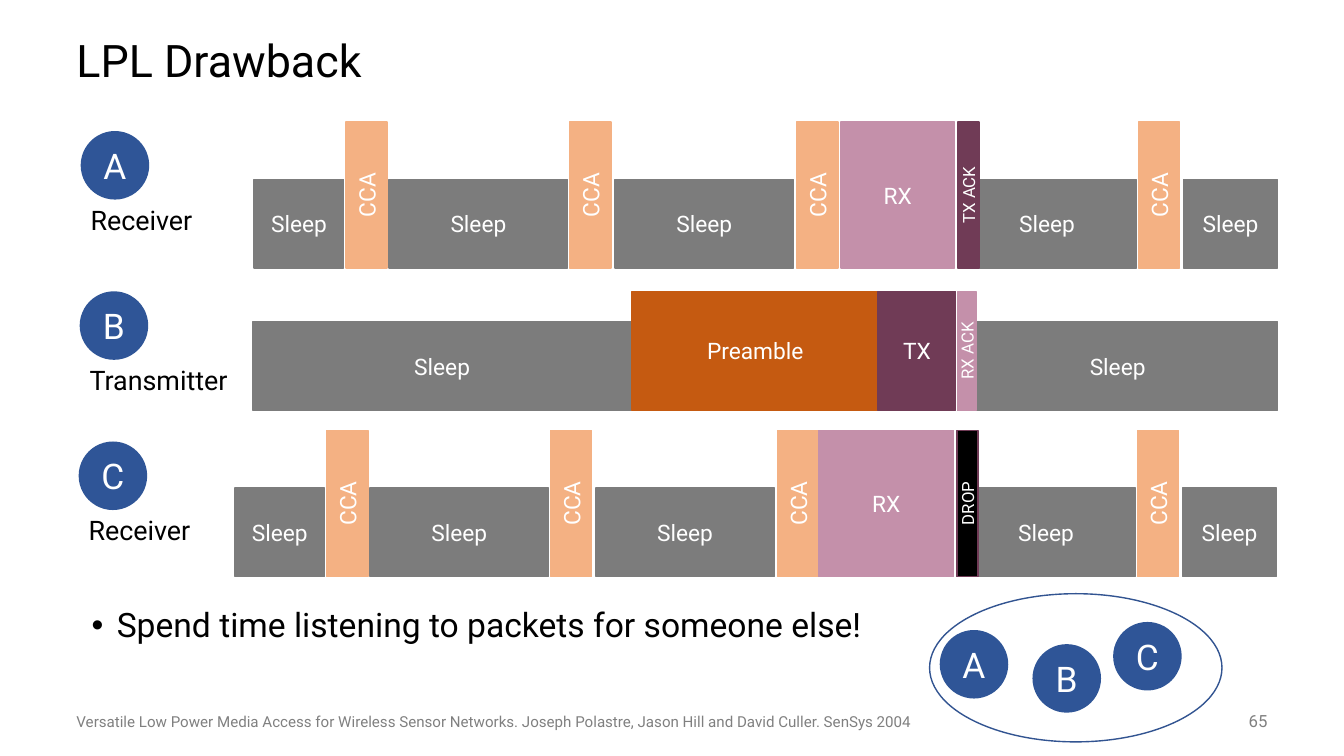
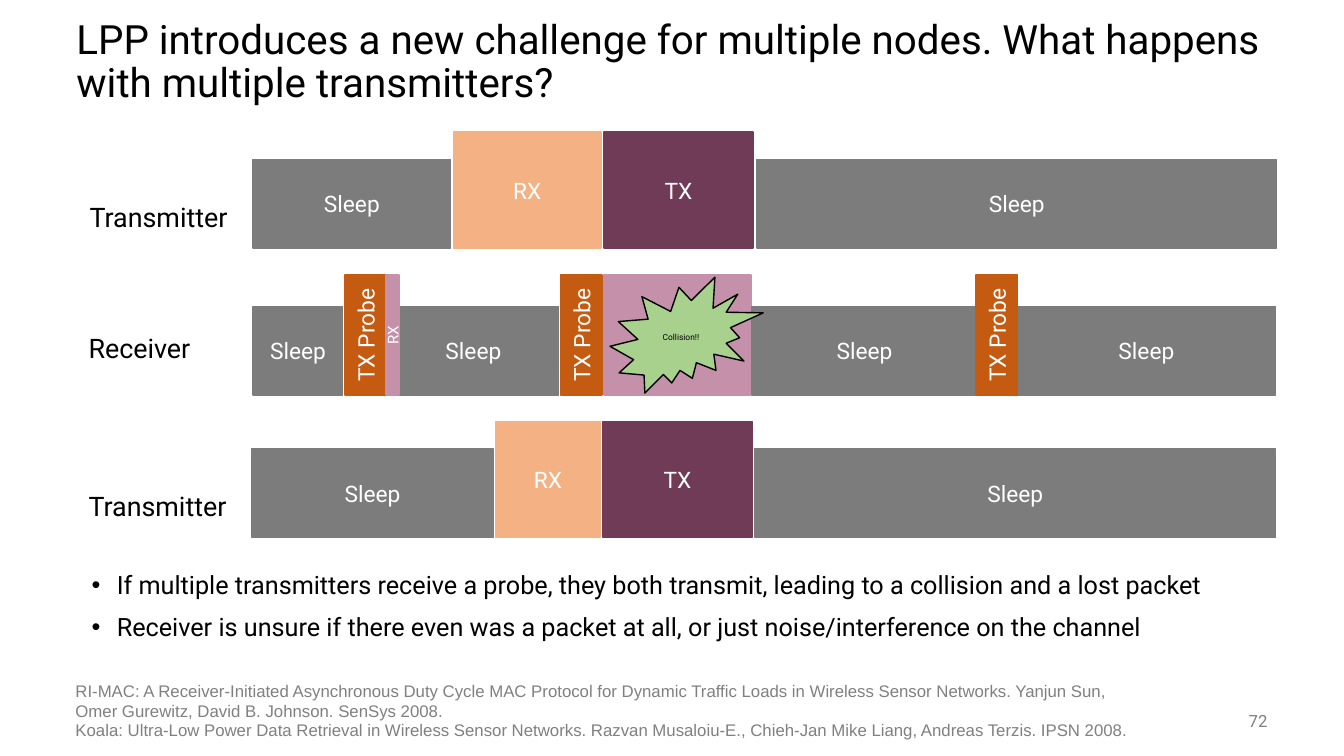
from lxml import etree
from pptx import Presentation
from pptx.dml.color import RGBColor
from pptx.enum.shapes import MSO_SHAPE
from pptx.enum.text import MSO_ANCHOR, PP_ALIGN
from pptx.oxml.ns import qn
from pptx.util import Inches, Pt

RECT, OVAL, BURST = MSO_SHAPE.RECTANGLE, MSO_SHAPE.OVAL, MSO_SHAPE.EXPLOSION2
TOP, MIDDLE = MSO_ANCHOR.TOP, MSO_ANCHOR.MIDDLE
LEFT, CENTER, RIGHT = PP_ALIGN.LEFT, PP_ALIGN.CENTER, PP_ALIGN.RIGHT

BLACK = RGBColor(0x00, 0x00, 0x00)
WHITE = RGBColor(0xFF, 0xFF, 0xFF)
GRAY = RGBColor(0x7C, 0x7C, 0x7C)
MUTED = RGBColor(0x80, 0x80, 0x80)
PEACH = RGBColor(0xF4, 0xB1, 0x83)
PINK = RGBColor(0xC4, 0x90, 0xAA)
PLUM = RGBColor(0x70, 0x3B, 0x56)
RUST = RGBColor(0xC5, 0x5A, 0x11)
BLUE = RGBColor(0x2F, 0x55, 0x97)
NAVY = RGBColor(0x32, 0x54, 0x91)
GREEN = RGBColor(0xA9, 0xD1, 0x8E)

FONT = "Roboto"
LOW = 0.88
SLIM = 0.41
DISC = 0.68

STYLES = {
    "sleep": ("Sleep", GRAY, GRAY, 16.2, False),
    "cca": ("CCA", PEACH, PEACH, 16.2, True),
    "rx": ("RX", PINK, PINK, 16.2, False),
    "tx": ("TX", PLUM, PLUM, 16.2, False),
    "preamble": ("Preamble", RUST, RUST, 16.2, False),
    "tx ack": ("TX ACK", PLUM, PLUM, 12, True),
    "rx ack": ("RX ACK", PINK, PINK, 12, True),
    "drop": ("DROP", BLACK, PLUM, 12, True),
    "probe": ("TX Probe", RUST, RUST, 16.2, True),
    "listen": ("RX", PEACH, PEACH, 16.2, False),
    "brief": ("RX", PINK, PINK, 10.8, True),
    "clash": ("", PINK, PINK, 16.2, False),
}

POLLS = [
    ("sleep", 0, 0.89), ("cca", 0.91, SLIM),
    ("sleep", 1.34, 1.77), ("cca", 3.13, SLIM),
    ("sleep", 3.58, 1.77), ("cca", 5.38, SLIM),
]


def style(para, size, color, align=LEFT, font=FONT):
    """Format one paragraph and its runs."""
    para.alignment = align
    for run in para.runs:
        run.font.name = font
        run.font.size = Pt(size)
        run.font.color.rgb = color


def write(slide, box, text, size, color=BLACK, anchor=MIDDLE, align=LEFT, font=FONT):
    """Add a wrapped text box and return its frame."""
    frame = slide.shapes.add_textbox(*map(Inches, box)).text_frame
    frame.word_wrap = True
    frame.vertical_anchor = anchor
    frame.text = text
    for para in frame.paragraphs:
        style(para, size, color, align, font)
    return frame


def draw(slide, kind, box, fill, line, text="", size=12, color=WHITE):
    """Add a preset shape with centred text."""
    shape = slide.shapes.add_shape(kind, *map(Inches, box))
    shape.shadow.inherit = False
    if fill is None:
        shape.fill.background()
    else:
        shape.fill.solid()
        shape.fill.fore_color.rgb = fill
    if line is None:
        shape.line.fill.background()
    else:
        shape.line.color.rgb = line
        shape.line.width = Pt(1)
    frame = shape.text_frame
    frame.margin_left = frame.margin_right = 0
    frame.margin_top = frame.margin_bottom = 0
    frame.vertical_anchor = MIDDLE
    if text:
        frame.text = text
        style(frame.paragraphs[0], size, color, CENTER)
    return shape


def start(deck, title, size, number):
    """Add a slide with its title and page number."""
    slide = deck.slides.add_slide(deck.slide_layouts[6])
    frame = write(slide, (0.66, 0.25, 12, 0.75), title, size)
    frame.paragraphs[0].line_spacing = 0.9
    write(slide, (11.67, 6.95, 1, 0.4), number, 12, MUTED, align=RIGHT)
    return slide


def list_points(slide, box, points, size):
    """Add a bulleted list."""
    frame = write(slide, box, "\n".join(points), size, anchor=TOP)
    for rank, para in enumerate(frame.paragraphs):
        props = para._p.get_or_add_pPr()
        props.set("marL", str(Inches(0.25)))
        props.set("indent", str(-Inches(0.25)))
        etree.SubElement(props, qn("a:buFont")).set("typeface", "Arial")
        etree.SubElement(props, qn("a:buChar")).set("char", "•")
        para.line_spacing = 0.9
        if rank:
            para.space_before = Pt(11)


def lane(slide, left, base, tall, slots):
    """Draw one radio timeline standing on its base line."""
    for name, begin, width in slots:
        text, fill, line, size, turned = STYLES[name]
        high = LOW if name == "sleep" else tall
        box = (left + begin, base - high, width, high)
        block = draw(slide, RECT, box, fill, line, text, size)
        if turned:
            block.element.txBody.bodyPr.set("vert", "vert270")


def finish(begin, last):
    """Return the slots that follow a received packet."""
    return [
        ("sleep", begin, 1.77), ("cca", begin + 1.79, SLIM),
        ("sleep", begin + 2.24, 0.93), (last, begin, 0.21),
    ]


def disc(slide, left, top, letter):
    """Draw one lettered node."""
    draw(slide, OVAL, (left, top, DISC, DISC), BLUE, None, letter, 25.2)


def role(slide, left, top, text):
    """Label a timeline with its role."""
    write(slide, (left, top, 1.73, 0.42), text, 19.2)


def node(slide, left, top, letter, text):
    """Draw a node with its role beneath."""
    disc(slide, left, top, letter)
    role(slide, left, top + 0.67, text)


def group(slide, left, top):
    """Draw the three nodes inside one radio range."""
    for letter, across, down in (("A", 0.1, 0.36), ("B", 1.02, 0.5), ("C", 1.82, 0.28)):
        disc(slide, left + across, top + down, letter)
    draw(slide, OVAL, (left, top, 2.9, 1.47), None, NAVY)


def lpl_slide(deck):
    """Build the slide on the LPL drawback."""
    slide = start(deck, "LPL Drawback", 32, "65")
    lane(slide, 2.52, 2.66, 1.45, POLLS + [("rx", 5.82, 1.13)] + finish(6.98, "tx ack"))
    lane(slide, 2.51, 4.07, 1.18, [
        ("sleep", 0, 3.75), ("preamble", 3.76, 2.44), ("tx", 6.2, 0.77),
        ("sleep", 6.99, 3.17), ("rx ack", 6.99, 0.18),
    ])
    lane(slide, 2.33, 5.72, 1.45, POLLS + [("rx", 5.79, 1.34)] + finish(7.16, "drop"))
    node(slide, 0.8, 1.3, "A", "Receiver")
    node(slide, 0.79, 2.89, "B", "Transmitter")
    node(slide, 0.78, 4.38, "C", "Receiver")
    list_points(slide, (0.81, 5.99, 8.02, 1.4),
                ["Spend time listening to packets for someone else!"], 24)
    group(slide, 9.22, 5.89)
    write(slide, (0.66, 7.02, 8.99, 0.28),
          "Versatile Low Power Media Access for Wireless Sensor Networks. "
          "Joseph Polastre, Jason Hill and David Culler. SenSys 2004",
          10.8, MUTED, TOP)


def lpp_slide(deck):
    """Build the slide on colliding transmitters."""
    slide = start(deck, "LPP introduces a new challenge for multiple nodes. "
                  "What happens with multiple transmitters?", 28.8, "72")
    lane(slide, 2.51, 2.46, 1.15, [
        ("sleep", 0, 1.96), ("listen", 1.99, 1.46),
        ("tx", 3.48, 1.48), ("sleep", 5, 5.15),
    ])
    lane(slide, 2.51, 3.92, 1.19, [
        ("sleep", 0, 0.89), ("probe", 0.91, SLIM),
        ("sleep", 1.34, 1.69), ("brief", 1.32, 0.13),
        ("clash", 3.48, 1.46), ("probe", 3.05, SLIM),
        ("sleep", 4.95, 2.23), ("sleep", 7.58, 2.56), ("probe", 7.17, SLIM),
    ])
    lane(slide, 2.5, 5.33, 1.15, [
        ("sleep", 0, 2.39), ("listen", 2.42, 1.03),
        ("tx", 3.48, 1.48), ("sleep", 4.99, 5.16),
    ])
    draw(slide, BURST, (6.05, 2.75, 1.52, 1.15), GREEN, BLACK, "Collision!!", 6, BLACK)
    role(slide, 0.79, 1.94, "Transmitter")
    role(slide, 0.78, 3.24, "Receiver")
    role(slide, 0.78, 4.81, "Transmitter")
    list_points(slide, (0.81, 5.63, 11.72, 1.13), [
        "If multiple transmitters receive a probe, they both transmit, "
        "leading to a collision and a lost packet",
        "Receiver is unsure if there even was a packet at all, "
        "or just noise/interference on the channel",
    ], 18)
    write(slide, (0.65, 6.7, 10.64, 0.5),
          "RI-MAC: A Receiver-Initiated Asynchronous Duty Cycle MAC Protocol for "
          "Dynamic Traffic Loads in Wireless Sensor Networks. Yanjun Sun, "
          "Omer Gurewitz, David B. Johnson. SenSys 2008.",
          12, MUTED, TOP, font="Arial")
    write(slide, (0.65, 7.09, 10.79, 0.3),
          "Koala: Ultra-Low Power Data Retrieval in Wireless Sensor Networks. "
          "Razvan Musaloiu-E., Chieh-Jan Mike Liang, Andreas Terzis. IPSN 2008.",
          12, MUTED, TOP, font="Arial")


def main():
    """Build and save the deck."""
    deck = Presentation()
    deck.slide_width = Inches(13.33)
    deck.slide_height = Inches(7.5)
    lpl_slide(deck)
    lpp_slide(deck)
    deck.save("out.pptx")


if __name__ == "__main__":
    main()
